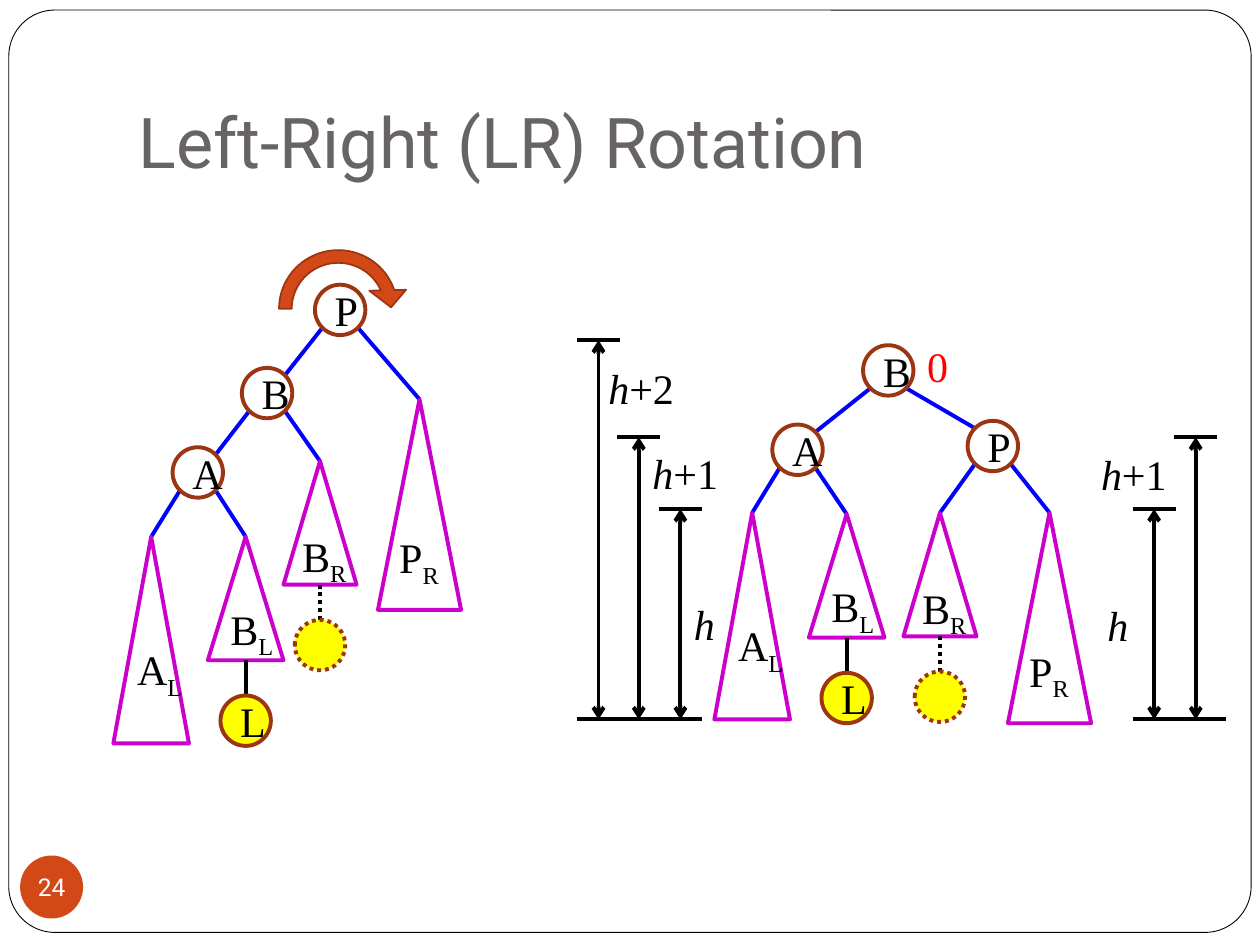
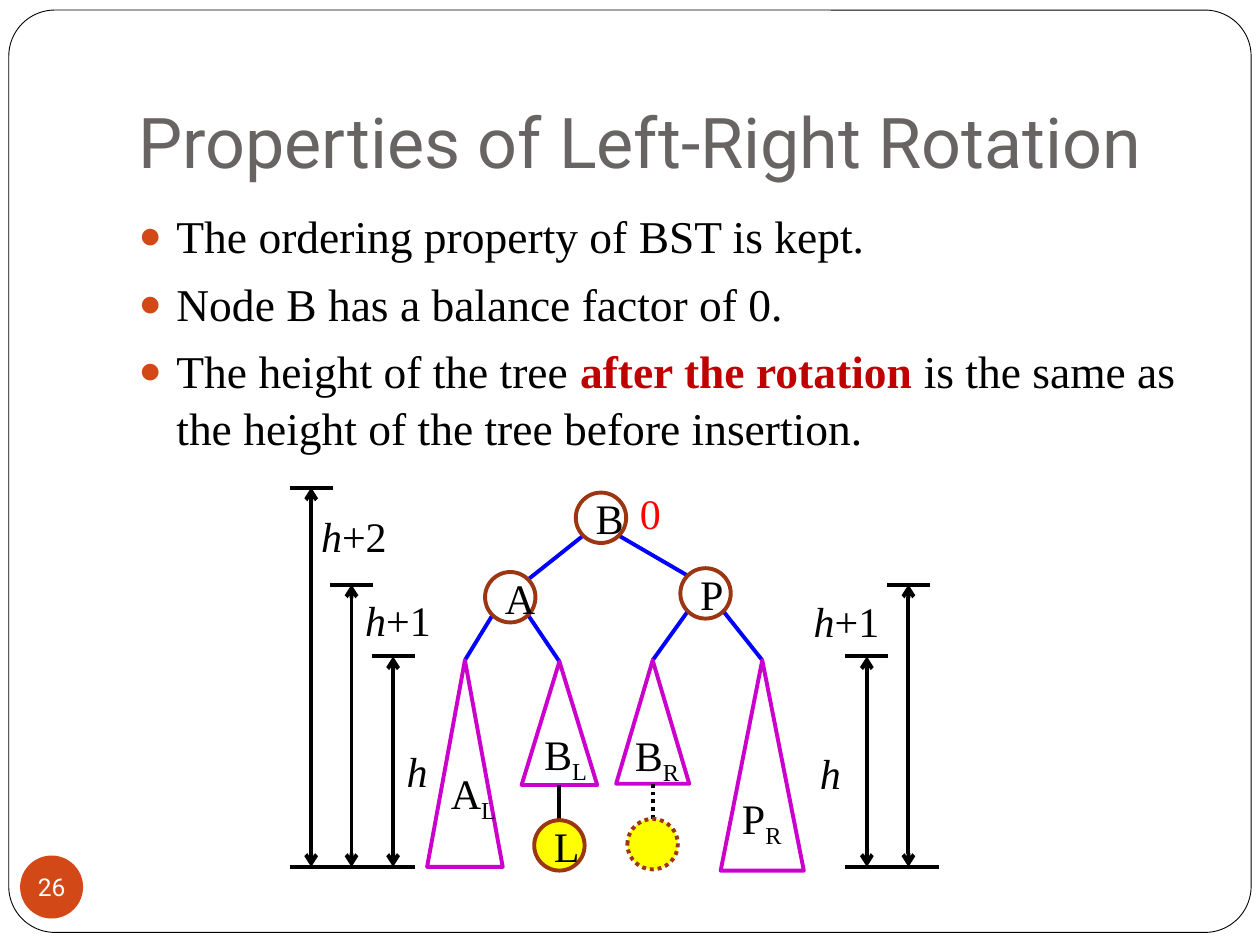
from dataclasses import dataclass
from typing import Any, NamedTuple, Optional

from lxml import etree
from pptx import Presentation
from pptx.dml.color import RGBColor
from pptx.enum.dml import MSO_LINE
from pptx.enum.shapes import MSO_CONNECTOR, MSO_SHAPE
from pptx.enum.text import MSO_ANCHOR, MSO_AUTO_SIZE, PP_ALIGN
from pptx.oxml.ns import qn
from pptx.util import Inches, Pt

ELLIPSE, TRIANGLE = MSO_SHAPE.OVAL, MSO_SHAPE.ISOSCELES_TRIANGLE
ROUNDED, CURVED_ARROW = MSO_SHAPE.ROUNDED_RECTANGLE, MSO_SHAPE.CIRCULAR_ARROW
STRAIGHT, DOTTED = MSO_CONNECTOR.STRAIGHT, MSO_LINE.ROUND_DOT
MIDDLE, BOTTOM = MSO_ANCHOR.MIDDLE, MSO_ANCHOR.BOTTOM
LEFT, CENTER = PP_ALIGN.LEFT, PP_ALIGN.CENTER
NO_FIT, GROW = MSO_AUTO_SIZE.NONE, MSO_AUTO_SIZE.SHAPE_TO_FIT_TEXT
TITLE_ONLY, TITLE_AND_BODY = 5, 1

# Shared colours and fonts
BLACK, WHITE, RED, DARK_RED = "000000", "FFFFFF", "FF0000", "C00000"
ORANGE, BROWN, GREY = "D34817", "9C3511", "696464"
BLUE, MAGENTA, YELLOW = "0000FF", "CC00CC", "FFFF00"
SANS, SERIF = "Roboto", "Times New Roman"
TITLE_FONT = {"name": SANS, "size": Pt(40)}
BADGE_FONT = {"name": SANS, "size": Pt(14)}
BODY_FONT = {"name": SERIF, "size": Pt(26)}
LABEL_FONT = {"name": SERIF, "size": Pt(24)}

# Diagram measures in inches
RADIUS = 0.2
RIM = 0.14
LEAF_GAP = 0.28
HALF_TICK = 0.17
LABEL_HEIGHT = 0.49


class Point(NamedTuple):
    x: float
    y: float


class Subtree(NamedTuple):
    letter: str
    side: str
    width: float
    height: float
    label_offset: Point
    label_width: float
    leaf: Optional[str] = None
    dash: Any = None


class Hanging(NamedTuple):
    subtree: Subtree
    parent: str
    apex: Point


class Tree(NamedTuple):
    nodes: dict[str, Point]
    links: list[tuple[str, str]]
    hangings: list[Hanging]


class Height(NamedTuple):
    x: float
    top: float
    suffix: str
    label: Point


class Scale(NamedTuple):
    left: float
    right: float
    heights: list[Height]


A_LEFT = Subtree("A", "L", 0.6, 1.64, Point(0.09, 0.8), 0.56)
B_LEFT = Subtree("B", "L", 0.6, 0.98, Point(0.08, 0.48), 0.55, "L")
B_RIGHT = Subtree("B", "R", 0.58, 0.98, Point(0.05, 0.5), 0.57, "", DOTTED)
P_RIGHT = Subtree("P", "R", 0.66, 1.67, Point(0.07, 1), 0.57)

UNBALANCED = Tree(
    {"P": Point(2.7, 2.46), "B": Point(2.12, 3.12), "A": Point(1.57, 3.75)},
    [("P", "B"), ("B", "A")],
    [Hanging(A_LEFT, "A", Point(1.2, 4.26)), Hanging(B_LEFT, "A", Point(1.95, 4.26)),
     Hanging(B_RIGHT, "B", Point(2.54, 3.66)), Hanging(P_RIGHT, "P", Point(3.33, 3.17))])
ROTATED = Tree(
    {"B": Point(7.05, 2.94), "A": Point(6.33, 3.57), "P": Point(7.88, 3.54)},
    [("B", "A"), ("B", "P")],
    [Hanging(A_LEFT, "A", Point(5.97, 4.07)), Hanging(B_LEFT, "A", Point(6.72, 4.08)),
     Hanging(B_RIGHT, "P", Point(7.46, 4.07)), Hanging(P_RIGHT, "P", Point(8.33, 4.07))])

GROUND = 5.71
SCALES = [
    Scale(4.58, 5.57, [Height(4.75, 2.7, "+2", Point(4.73, 2.83)),
                       Height(5.07, 3.47, "+1", Point(5.08, 3.5)),
                       Height(5.4, 4.04, "", Point(5.41, 4.7))]),
    Scale(8.99, 9.73, [Height(9.49, 3.47, "+1", Point(8.64, 3.51)),
                       Height(9.16, 4.04, "", Point(8.69, 4.71))]),
]


def rgb(color: str) -> RGBColor:
    return RGBColor.from_string(color)


def apply(target: Any, values: dict[str, Any]) -> None:
    for name, value in values.items():
        setattr(target, name, value)


def add_run(paragraph: Any, text: str, font: dict[str, Any], color: str = BLACK) -> Any:
    run = paragraph.add_run()
    run.text = text
    apply(run.font, font)
    run.font.color.rgb = rgb(color)
    return run


def move(shape: Any, left: float, top: float, width: float, height: float) -> None:
    apply(shape, {"left": Inches(left), "top": Inches(top),
                  "width": Inches(width), "height": Inches(height)})


@dataclass
class Pen:
    """Draws on a slide, with all places moved by one shift."""
    slide: Any
    shift: Point = Point(0, 0)

    def box(self, left: float, top: float, width: float, height: float) -> list[int]:
        return [Inches(left + self.shift.x), Inches(top + self.shift.y),
                Inches(width), Inches(height)]

    def shape(self, kind: Any, box: tuple[float, ...], fill: Optional[str] = None,
              line: Optional[str] = None, weight: float = 2.25, dash: Any = None) -> Any:
        shape = self.slide.shapes.add_shape(kind, *self.box(*box))
        shape.shadow.inherit = False
        if fill:
            shape.fill.solid()
            shape.fill.fore_color.rgb = rgb(fill)
        else:
            shape.fill.background()
        if line:
            shape.line.color.rgb = rgb(line)
            apply(shape.line, {"width": Pt(weight), "dash_style": dash})
        else:
            shape.line.fill.background()
        return shape

    def line(self, start: Point, end: Point, color: str = BLACK, dash: Any = None,
             arrows: bool = False) -> None:
        ends = [Inches(value + offset) for point in (start, end)
                for value, offset in zip(point, self.shift)]
        connector = self.slide.shapes.add_connector(STRAIGHT, *ends)
        connector.line.color.rgb = rgb(color)
        apply(connector.line, {"width": Pt(2.25), "dash_style": dash})
        if arrows:
            outline = connector.line._get_or_add_ln()
            for tag in ("a:headEnd", "a:tailEnd"):
                etree.SubElement(outline, qn(tag), type="arrow")
        etree.SubElement(connector.element.spPr, qn("a:effectLst"))

    def label(self, place: Point, width: float) -> Any:
        text_box = self.slide.shapes.add_textbox(*self.box(*place, width, LABEL_HEIGHT))
        apply(text_box.text_frame, {"word_wrap": False, "auto_size": GROW})
        return text_box.text_frame.paragraphs[0]

    def node(self, center: Point, letter: str, fill: Optional[str] = None,
             dash: Any = None) -> None:
        box = (center.x - RADIUS, center.y - RADIUS, 2 * RADIUS, 2 * RADIUS)
        frame = self.shape(ELLIPSE, box, fill, BROWN, dash=dash).text_frame
        apply(frame, {"vertical_anchor": MIDDLE, "word_wrap": True})
        if letter:
            frame.paragraphs[0].alignment = CENTER
            add_run(frame.paragraphs[0], letter, LABEL_FONT)


def rim_point(center: Point, toward: Point) -> Point:
    """Point on a node's rim, on the diagonal that faces another point."""
    return Point(center.x + (RIM if toward.x > center.x else -RIM),
                 center.y + (RIM if toward.y > center.y else -RIM))


def draw_hanging(pen: Pen, hanging: Hanging) -> None:
    subtree, _, apex = hanging
    left = apex.x - subtree.width / 2
    pen.shape(TRIANGLE, (left, apex.y, subtree.width, subtree.height), line=MAGENTA)
    place = Point(left + subtree.label_offset.x, apex.y + subtree.label_offset.y)
    paragraph = pen.label(place, subtree.label_width)
    add_run(paragraph, subtree.letter, LABEL_FONT)
    subscript = add_run(paragraph, subtree.side, LABEL_FONT)
    subscript._r.get_or_add_rPr().set("baseline", "-25000")
    if subtree.leaf is not None:
        base = Point(apex.x, apex.y + subtree.height)
        leaf_top = Point(base.x, base.y + LEAF_GAP)
        pen.line(leaf_top, base, dash=subtree.dash)
        pen.node(Point(base.x, leaf_top.y + RADIUS), subtree.leaf, YELLOW, subtree.dash)


def draw_tree(pen: Pen, tree: Tree) -> None:
    for parent, child in tree.links:
        start, end = tree.nodes[parent], tree.nodes[child]
        pen.line(rim_point(start, end), rim_point(end, start), BLUE)
    for hanging in tree.hangings:
        pen.line(rim_point(tree.nodes[hanging.parent], hanging.apex), hanging.apex, BLUE)
        draw_hanging(pen, hanging)
    for letter, center in tree.nodes.items():
        pen.node(center, letter)


def draw_scale(pen: Pen, scale: Scale) -> None:
    pen.line(Point(scale.left, GROUND), Point(scale.right, GROUND))
    for x, top, suffix, place in scale.heights:
        pen.line(Point(x, top), Point(x, GROUND), arrows=True)
        pen.line(Point(x - HALF_TICK, top), Point(x + HALF_TICK, top))
        paragraph = pen.label(place, 0.84 if suffix else 0.46)
        add_run(paragraph, "h", {**LABEL_FONT, "italic": True})
        if suffix:
            add_run(paragraph, suffix, LABEL_FONT)


def draw_rotated_tree(pen: Pen) -> None:
    draw_tree(pen, ROTATED)
    add_run(pen.label(Point(7.26, 2.65), 0.36), "0", LABEL_FONT, RED)
    for scale in SCALES:
        draw_scale(pen, scale)


def add_slide(presentation: Any, layout: int, title: str, number: str) -> Any:
    slide = presentation.slides.add_slide(presentation.slide_layouts[layout])
    pen = Pen(slide)

    # Frame behind everything
    frame = pen.shape(ROUNDED, (0.07, 0.08, 9.86, 7.32), WHITE, BLACK, 0.5)
    frame.adjustments[0] = 0.05
    frame.element.getparent().insert(2, frame.element)

    # Title
    heading = slide.shapes.title
    move(heading, 1, 0.3, 8.5, 1.25)
    apply(heading.text_frame, {
        "vertical_anchor": BOTTOM, "auto_size": NO_FIT, "word_wrap": True,
        "margin_left": Inches(0.1), "margin_right": Inches(0.1),
        "margin_top": Inches(0.05), "margin_bottom": Inches(0.1)})
    heading.text_frame.paragraphs[0].alignment = LEFT
    add_run(heading.text_frame.paragraphs[0], title, TITLE_FONT, GREY)

    # Number badge
    badge = pen.shape(ELLIPSE, (0.16, 6.79, 0.5, 0.5), ORANGE).text_frame
    apply(badge, {"vertical_anchor": MIDDLE, "word_wrap": False, "margin_left": 0,
                  "margin_right": 0, "margin_top": 0, "margin_bottom": 0})
    badge.paragraphs[0].alignment = CENTER
    add_run(badge.paragraphs[0], number, BADGE_FONT, WHITE)
    return slide


def fill_body(body: Any, items: list[list[str]]) -> None:
    """Writes bullets; the second part of an item is emphasised."""
    move(body, 1, 1.58, 8.5, 5)
    body.text_frame.auto_size = NO_FIT
    for index, parts in enumerate(items):
        frame = body.text_frame
        paragraph = frame.add_paragraph() if index else frame.paragraphs[0]
        apply(paragraph, {"space_before": Pt(5.8), "line_spacing": 1.05})
        properties = paragraph._p.get_or_add_pPr()
        properties.set("marL", str(Inches(0.3)))
        properties.set("indent", str(-Inches(0.3)))
        bullet_color = etree.SubElement(properties, qn("a:buClr"))
        etree.SubElement(bullet_color, qn("a:srgbClr"), val=ORANGE)
        etree.SubElement(properties, qn("a:buSzPct"), val="85000")
        etree.SubElement(properties, qn("a:buChar"), char="●")
        for position, text in enumerate(parts):
            strong = position == 1
            add_run(paragraph, text, {**BODY_FONT, "bold": strong},
                    DARK_RED if strong else BLACK)


def main() -> None:
    presentation = Presentation()
    apply(presentation, {"slide_width": Inches(10), "slide_height": Inches(7.5)})

    # Rotation, before and after
    slide = add_slide(presentation, TITLE_ONLY, "Left-Right (LR) Rotation", "24")
    pen = Pen(slide)
    draw_tree(pen, UNBALANCED)
    turn = pen.shape(CURVED_ARROW, (2.12, 1.89, 1.13, 1.12), ORANGE, BROWN, 1)
    for index, value in enumerate((0.09, 11.42, 203.72, 108, 0.13)):
        turn.adjustments[index] = value
    draw_rotated_tree(pen)

    # Properties, with the rotated tree below
    slide = add_slide(presentation, TITLE_AND_BODY, "Properties of Left-Right Rotation", "26")
    fill_body(slide.placeholders[1], [
        ["The ordering property of BST is kept."],
        ["Node B has a balance factor of 0."],
        ["The height of the tree ", "after the rotation",
         " is the same as the height of the tree before insertion."]])
    draw_rotated_tree(Pen(slide, Point(-2.28, 1.17)))

    presentation.save("out.pptx")


if __name__ == "__main__":
    main()
